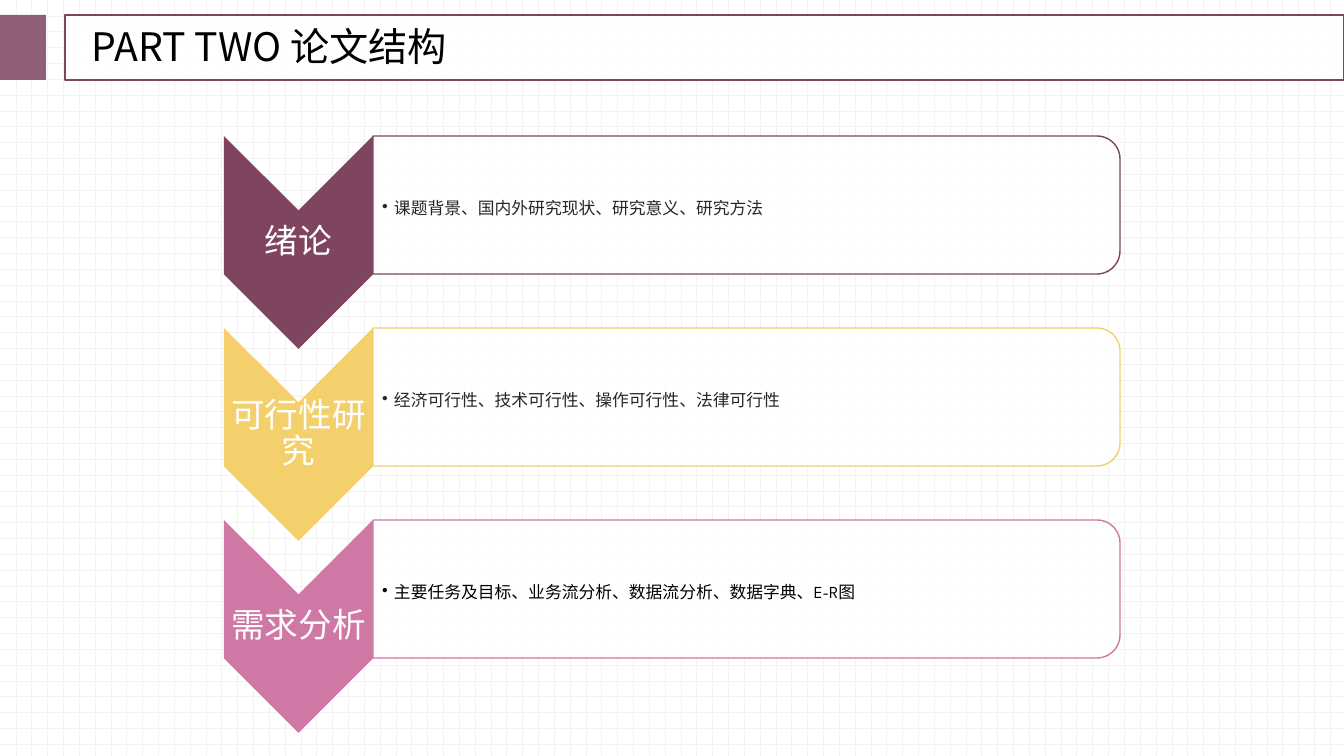
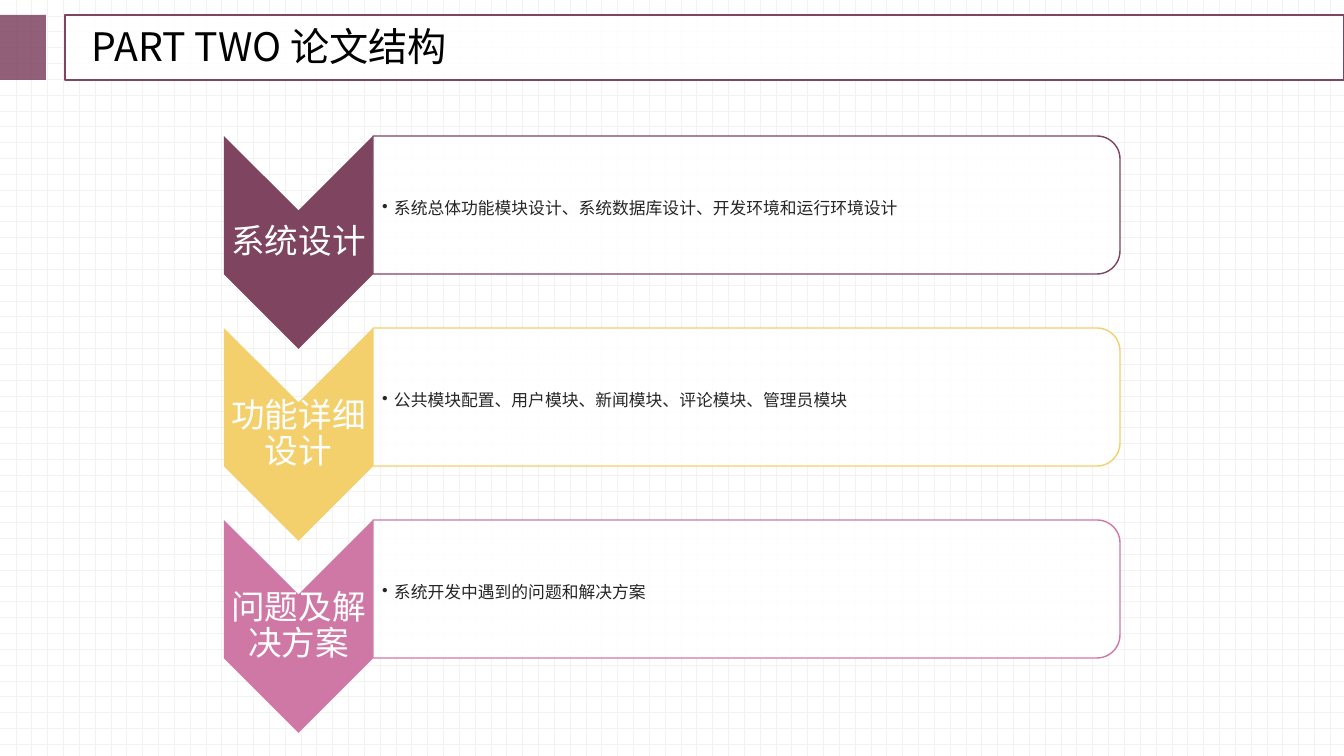
from pptx import Presentation
from pptx.dml.color import RGBColor
from pptx.enum.dml import MSO_PATTERN
from pptx.enum.shapes import MSO_SHAPE
from pptx.enum.text import MSO_ANCHOR, PP_ALIGN
from pptx.oxml.ns import qn
from pptx.util import Pt
from lxml.etree import SubElement

# Content: (chevron label, details) for each row
TITLE = "PART TWO 论文结构"
SLIDES = [
    [
        ("绪论", "课题背景、国内外研究现状、研究意义、研究方法"),
        ("可行性研究", "经济可行性、技术可行性、操作可行性、法律可行性"),
        ("需求分析", "主要任务及目标、业务流分析、数据流分析、数据字典、E-R图"),
    ],
    [
        ("系统设计", "系统总体功能模块设计、系统数据库设计、开发环境和运行环境设计"),
        ("功能详细设计", "公共模块配置、用户模块、新闻模块、评论模块、管理员模块"),
        ("问题及解决方案", "系统开发中遇到的问题和解决方案"),
    ],
]
BLACK_DETAILS = {"需求分析"}

# Theme
PLUM, YELLOW, PINK = "7E4460", "F3D06C", "D078A5"
WHITE, BLACK, GRAY, GRID = "FFFFFF", "000000", "262626", "F2F2F2"
ROW_COLORS = [PLUM, YELLOW, PINK]
LATIN, CHINESE = "League Spartan", "Noto Sans CJK SC"
STYLES = {
    "title": dict(size=28, font=CHINESE, spacing=0.9, before=10,
                  align=PP_ALIGN.LEFT, anchor=MSO_ANCHOR.TOP, insets=(10, 5, 10, 5)),
    "label": dict(size=24, font=LATIN, spacing=0.9, before=0,
                  align=PP_ALIGN.CENTER, anchor=MSO_ANCHOR.MIDDLE, insets=(2, 2, 2, 2)),
    "details": dict(size=12, font=LATIN, spacing=1.3, before=0,
                    align=PP_ALIGN.LEFT, anchor=MSO_ANCHOR.MIDDLE, insets=(9, 1, 1, 1)),
}

# Layout in px
WIDTH, HEIGHT = 1344, 756
BAND_TOP, BAND_HEIGHT, TAB_WIDTH, BAND_LEFT = 15, 65, 46, 65
ROW_LEFT, ROW_TOP, ROW_PITCH = 224, 136, 192
CHEVRON_WIDTH, CHEVRON_HEIGHT = 149, 213
PANEL_WIDTH, PANEL_HEIGHT, PANEL_PAD = 747, 138, 7
BULLET_INDENT = 12


def px(length):
    return round(length * 914400 / 100.8)


def color(value):
    return RGBColor.from_string(value)


def add_box(shapes, kind, left, top, width, height, fill, line=None, alpha=100, turned=False):
    """Place a shape by its visible box; a turned one is rotated by 90 degrees."""
    if turned:
        left, top = left + (width - height) / 2, top + (height - width) / 2
        width, height = height, width
    shape = shapes.add_shape(kind, px(left), px(top), px(width), px(height))
    shape.shadow.inherit = False
    shape.rotation = 90 if turned else 0
    shape.fill.solid()
    shape.fill.fore_color.rgb = color(fill)
    if alpha < 100:
        tint = shape.fill._xPr.find(qn("a:solidFill"))[0]
        SubElement(tint, qn("a:alpha"), val=str(alpha * 1000))
    if line:
        shape.line.color.rgb = color(line)
        shape.line.width = Pt(1)
    else:
        shape.line.fill.background()


def add_text(shapes, text, left, top, width, height, style, text_color, bullet=False):
    look = STYLES[style]
    frame = shapes.add_textbox(px(left), px(top), px(width), px(height)).text_frame
    sides = ("margin_left", "margin_top", "margin_right", "margin_bottom")
    settings = dict(zip(sides, map(px, look["insets"])))
    settings.update(word_wrap=True, vertical_anchor=look["anchor"])
    for name, value in settings.items():
        setattr(frame, name, value)

    paragraph = frame.paragraphs[0]
    formats = dict(alignment=look["align"], line_spacing=look["spacing"],
                   space_before=Pt(look["before"]))
    for name, value in formats.items():
        setattr(paragraph, name, value)
    if bullet:
        properties = paragraph._p.get_or_add_pPr()
        properties.set("marL", str(px(BULLET_INDENT)))
        properties.set("indent", str(-px(BULLET_INDENT)))
        SubElement(properties, qn("a:buChar"), char="•")

    run = paragraph.add_run()
    run.text = text
    run.font.size = Pt(look["size"])
    run.font.color.rgb = color(text_color)
    run.font.name = look["font"]
    SubElement(run._r.get_or_add_rPr(), qn("a:ea"), typeface=CHINESE)


def add_header(shapes):
    add_box(shapes, MSO_SHAPE.RECTANGLE, 0, BAND_TOP, TAB_WIDTH, BAND_HEIGHT, PLUM, alpha=85)
    add_box(shapes, MSO_SHAPE.RECTANGLE, BAND_LEFT, BAND_TOP, WIDTH - BAND_LEFT, BAND_HEIGHT,
            WHITE, line=PLUM, alpha=85)
    add_text(shapes, TITLE, 82, 23, 536, 58, "title", BLACK)


def add_row(shapes, index, label, details):
    top, accent = ROW_TOP + index * ROW_PITCH, ROW_COLORS[index]
    panel_left, notch = ROW_LEFT + CHEVRON_WIDTH, CHEVRON_WIDTH / 2
    add_box(shapes, MSO_SHAPE.CHEVRON, ROW_LEFT, top, CHEVRON_WIDTH, CHEVRON_HEIGHT,
            accent, turned=True)
    add_text(shapes, label, ROW_LEFT, top + notch, CHEVRON_WIDTH,
             CHEVRON_HEIGHT - 2 * notch, "label", WHITE)
    add_box(shapes, MSO_SHAPE.ROUND_2_SAME_RECTANGLE, panel_left, top, PANEL_WIDTH, PANEL_HEIGHT,
            WHITE, line=accent, alpha=90, turned=True)
    add_text(shapes, details, panel_left, top + PANEL_PAD, PANEL_WIDTH - PANEL_PAD,
             PANEL_HEIGHT - 2 * PANEL_PAD, "details",
             BLACK if label in BLACK_DETAILS else GRAY, bullet=True)


def main():
    presentation = Presentation()
    presentation.slide_width, presentation.slide_height = px(WIDTH), px(HEIGHT)

    # Shared dotted background
    background = presentation.slide_master.background.fill
    background.patterned()
    background.pattern = MSO_PATTERN.DOTTED_GRID
    background.fore_color.rgb = color(GRID)
    background.back_color.rgb = color(WHITE)

    for rows in SLIDES:
        slide = presentation.slides.add_slide(presentation.slide_layouts[6])
        add_header(slide.shapes)
        diagram = slide.shapes.add_group_shape()
        for index, (label, details) in enumerate(rows):
            add_row(diagram.shapes, index, label, details)
    presentation.save("out.pptx")


if __name__ == "__main__":
    main()
